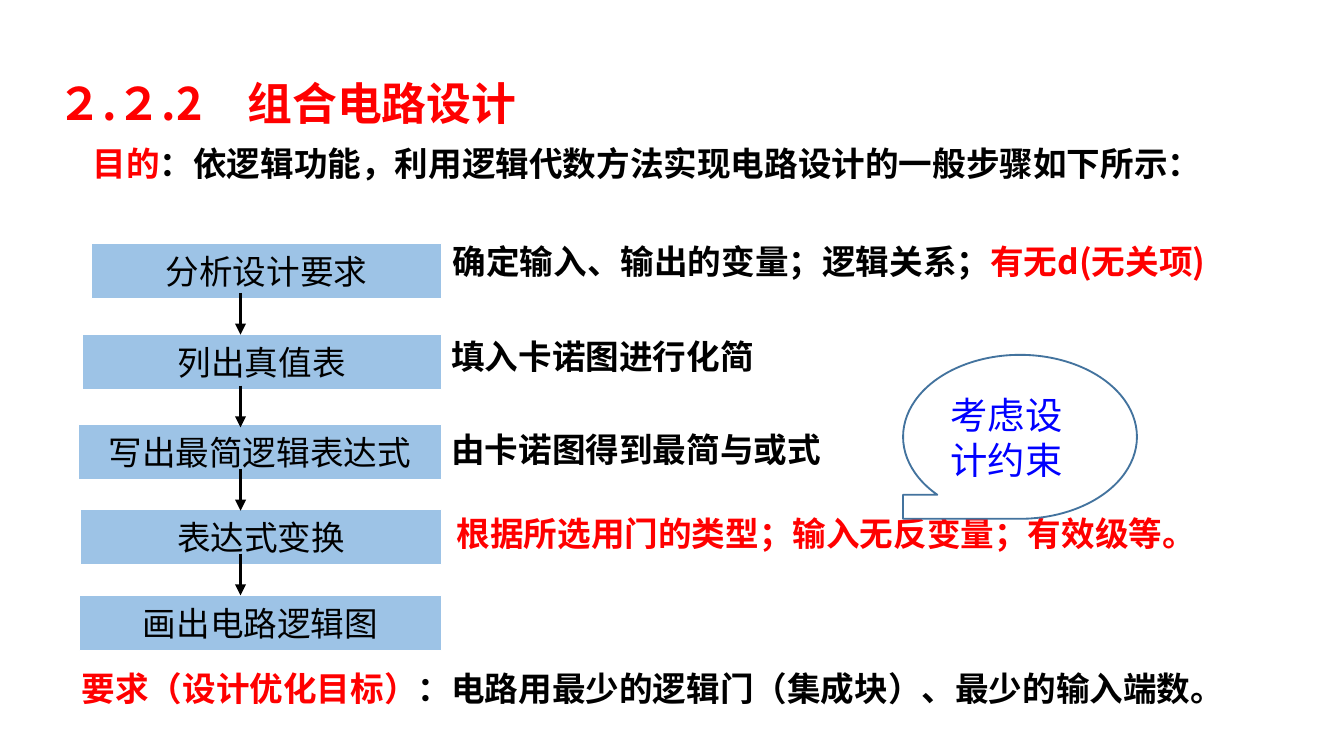
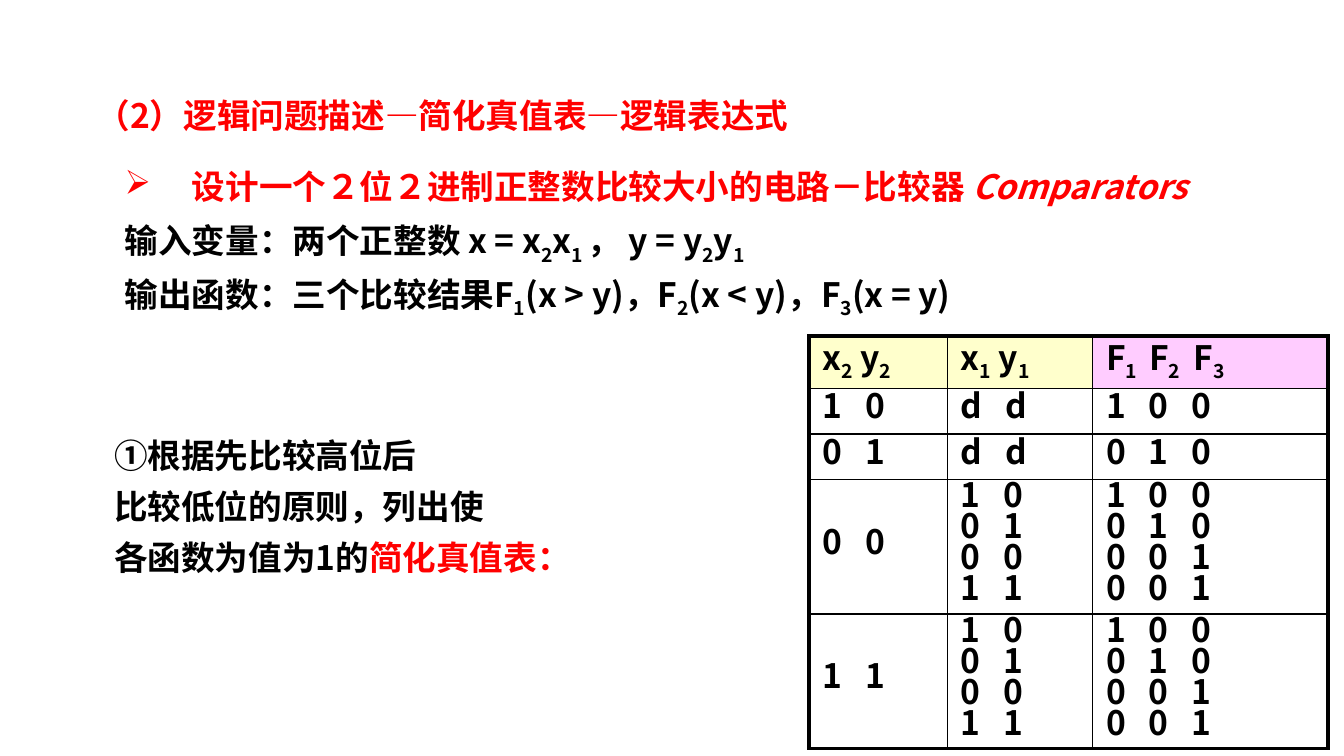
from typing import NamedTuple

from lxml import etree
from pptx import Presentation, util as u
from pptx.dml.color import RGBColor
from pptx.enum import shapes, text
from pptx.oxml.ns import qn

COLORS = {
    "ink": "000000", "accent": "FF0000", "paper": "FFFFFF", "step": "9DC3E6",
    "bubble_line": "43739E", "bubble_text": "0000FF",
    "input": "FFFFCC", "output": "FFCCFF",
}
CJK, CJK_TABLE, LATIN = "Noto Sans CJK JP", "Noto Sans CJK SC", "Calibri"
SLIDE_W, SLIDE_H = u.Inches(10), u.Inches(5.625)
CELL = SLIDE_W / 100  # square grid: 100 columns across the slide


class Area(NamedTuple):
    """Left, top, width and height in grid cells."""
    col: float
    row: float
    cols: float
    rows: float


class Run(NamedTuple):
    words: str
    color: str = "ink"
    sub: bool = False
    italic: bool = False


class Style(NamedTuple):
    size: float = 18
    bold: bool = True
    font: str = CJK
    spacing: float = 1
    before: float = 0
    hanging: float = 0
    bullet: str = ""
    align: text.PP_ALIGN = text.PP_ALIGN.LEFT


class Step(NamedTuple):
    col: float
    row: float
    label: str
    note: list[Run]
    note_area: Area | None


Lines = list[list[Run]]
TITLE = Style(size=24, spacing=0.9)
SUBTITLE = Style(spacing=0.9)
PURPOSE = Style(spacing=0.9, before=7.5, hanging=1.9)
NOTE = Style(before=9)
STEP = Style(bold=False, before=9, align=text.PP_ALIGN.CENTER)
BUBBLE = Style(size=20, bold=False, font=LATIN)
TASK = Style(hanging=5, bullet="➢")
VARIABLES = Style(spacing=0.8, before=9, hanging=1.9)
METHOD = Style(spacing=0.85, before=9)
TRUTH = Style(font=CJK_TABLE, spacing=0.5, before=3.6)

STEP_RIGHT, STEP_ROWS = 32.85, 4.1
STEPS = [
    Step(6.8, 18.1, "分析设计要求",
         [Run("确定输入、输出的变量；逻辑关系；"), Run("有无d(无关项)", "accent")],
         Area(32.7, 17.9, 59.9, 4)),
    Step(6.1, 24.9, "列出真值表", [Run("填入卡诺图进行化简")],
         Area(32.6, 25, 30, 4)),
    Step(5.8, 31.6, "写出最简逻辑表达式", [Run("由卡诺图得到最简与或式")],
         Area(32.6, 31.9, 39.2, 4)),
    Step(6, 37.9, "表达式变换",
         [Run("根据所选用门的类型；输入无反变量；有效级等。", "accent")],
         Area(33, 38.2, 54.9, 4)),
    Step(5.9, 44.3, "画出电路逻辑图", [], None),
]
ARROW_COL, ARROW_ROWS = 17.9, 3.1
ARROW_TOPS = [21.8, 28.7, 34.9, 41.2]

LOW_BITS = ["1   0", "0   1", "0   0", "1   1"]
RESULTS = ["1   0   0", "0   1   0", "0   0   1", "0   0   1"]
TRUTH_ROWS = [
    [["x|2| y|2"], ["x|1| y|1"], ["F|1 | F|2   |F|3"]],
    [["1   0"], ["d   d"], RESULTS[:1]],
    [["0   1"], ["d   d"], RESULTS[1:2]],
    [["0   0"], LOW_BITS, RESULTS],
    [["1   1"], LOW_BITS, RESULTS],
]
TRUTH_AREA = Area(60.2, 25, 38.6, 30.7)
TRUTH_COLS = [10.3, 10.8, 17.5]
TRUTH_HEIGHTS = [3.9, 3.4, 3.4, 10, 10]
HEADER_FILLS = ["input", "input", "output"]


def cells(count: float) -> int:
    return round(count * CELL)


def place(area: Area) -> list[int]:
    return [cells(n) for n in area]


def rgb(name: str) -> RGBColor:
    return RGBColor.from_string(COLORS[name])


def formula(words: str) -> list[Run]:
    """Split at bars; every second part is a subscript."""
    return [Run(part, sub=i % 2 == 1) for i, part in enumerate(words.split("|"))]


def write(frame, lines: Lines, style: Style) -> None:
    for i, line in enumerate(lines):
        para = frame.paragraphs[0] if i == 0 else frame.add_paragraph()
        para.alignment = style.align
        para.line_spacing = style.spacing
        para.space_before = u.Pt(style.before)
        props = para._p.get_or_add_pPr()
        if style.hanging:
            props.set("marL", str(cells(style.hanging)))
            props.set("indent", str(-cells(style.hanging)))
        if style.bullet:
            etree.SubElement(props, qn("a:buChar")).set("char", style.bullet)
        for part in line:
            run = para.add_run()
            run.text = part.words
            font = run.font
            font.size, font.bold, font.name = u.Pt(style.size), style.bold, style.font
            font.color.rgb = rgb(part.color)
            if part.italic:
                font.italic = True
            run_props = run._r.get_or_add_rPr()
            if part.sub:
                run_props.set("baseline", "-25000")
            etree.SubElement(run_props, qn("a:ea")).set("typeface", style.font)


def add_text(slide, area: Area, lines: Lines, style: Style,
             anchor: text.MSO_ANCHOR = text.MSO_ANCHOR.TOP) -> None:
    frame = slide.shapes.add_textbox(*place(area)).text_frame
    frame.word_wrap = True
    frame.vertical_anchor = anchor
    frame.margin_top = frame.margin_bottom = 0
    write(frame, lines, style)


def add_box(slide, kind: shapes.MSO_SHAPE, area: Area, fill: str, line: str,
            line_width: float, words: Run, style: Style):
    box = slide.shapes.add_shape(kind, *place(area))
    box.shadow.inherit = False
    box.fill.solid()
    box.fill.fore_color.rgb = rgb(fill)
    box.line.color.rgb = rgb(line)
    box.line.width = u.Pt(line_width)
    box.text_frame.word_wrap = True
    box.text_frame.vertical_anchor = text.MSO_ANCHOR.MIDDLE
    write(box.text_frame, [[words]], style)
    return box


def add_arrow(slide, col: float, top: float, bottom: float) -> None:
    arrow = slide.shapes.add_connector(
        shapes.MSO_CONNECTOR.STRAIGHT, cells(col), cells(top), cells(col), cells(bottom))
    arrow.line.color.rgb = rgb("ink")
    arrow.line.width = u.Pt(1.5)
    etree.SubElement(arrow.line._get_or_add_ln(), qn("a:tailEnd")).set("type", "triangle")
    etree.SubElement(arrow._element.spPr, qn("a:effectLst"))


def set_borders(cell, widths: dict[str, float]) -> None:
    """Draw the sides L, R, T, B; they must precede the cell's fill."""
    props = cell._tc.get_or_add_tcPr()
    for i, (side, width) in enumerate(widths.items()):
        line = etree.Element(qn(f"a:ln{side}"), w=str(u.Pt(width)))
        fill = etree.SubElement(line, qn("a:solidFill"))
        etree.SubElement(fill, qn("a:srgbClr")).set("val", COLORS["ink"])
        props.insert(i, line)


def add_truth_table(slide) -> None:
    table = slide.shapes.add_table(
        len(TRUTH_ROWS), len(TRUTH_COLS), *place(TRUTH_AREA)).table
    table.horz_banding = table.first_row = False
    for column, width in zip(table.columns, TRUTH_COLS):
        column.width = cells(width)
    last_row, last_col = len(TRUTH_ROWS) - 1, len(TRUTH_COLS) - 1
    for r, values in enumerate(TRUTH_ROWS):
        table.rows[r].height = cells(TRUTH_HEIGHTS[r])
        for c, lines in enumerate(values):
            cell = table.cell(r, c)
            cell.vertical_anchor = text.MSO_ANCHOR.MIDDLE
            cell.margin_left = cell.margin_right = cells(1)
            cell.margin_top = cell.margin_bottom = cells(0.4)
            cell.fill.solid()
            cell.fill.fore_color.rgb = rgb("paper" if r else HEADER_FILLS[c])
            outer = {"L": c == 0, "R": c == last_col, "T": r == 0, "B": r == last_row}
            set_borders(cell, {side: 2.25 if edge else 1 for side, edge in outer.items()})
            write(cell.text_frame, [formula(line) for line in lines], TRUTH)


def build_design_steps(slide) -> None:
    add_text(slide, Area(3.3, 6.1, 85.8, 5.7),
             [[Run("２.２.2\u3000组合电路设计".replace("\u3000", "　"), "accent")]], TITLE)
    add_text(slide, Area(5.9, 11, 85.6, 8.1),
             [[Run("目的", "accent"),
               Run("：依逻辑功能，利用逻辑代数方法实现电路设计的一般步骤如下所示：")]], PURPOSE)
    for step in STEPS:
        area = Area(step.col, step.row, STEP_RIGHT - step.col, STEP_ROWS)
        add_box(slide, shapes.MSO_SHAPE.RECTANGLE, area, "step", "paper", 0.75,
                Run(step.label), STEP)
        if step.note_area:
            add_text(slide, step.note_area, [step.note], NOTE)
    add_text(slide, Area(5.1, 49.7, 97.2, 4),
             [[Run("要求（设计优化目标）", "accent"),
               Run("：电路用最少的逻辑门（集成块）、最少的输入端数。")]], NOTE)
    for top in ARROW_TOPS:
        add_arrow(slide, ARROW_COL, top, top + ARROW_ROWS)
    bubble = add_box(slide, shapes.MSO_SHAPE.FLOWCHART_SEQUENTIAL_ACCESS_STORAGE,
                     Area(67.2, 26.4, 17.4, 12.2), "paper", "bubble_line", 1,
                     Run("考虑设计约束", "bubble_text"), BUBBLE)
    bubble._element.spPr.xfrm.set("flipH", "1")


def build_comparator(slide) -> None:
    add_text(slide, Area(6.2, 7.4, 88.3, 5.6),
             [[Run("（2）逻辑问题描述—简化真值表—逻辑表达式", "accent")]], SUBTITLE)
    add_text(slide, Area(8.3, 16.7, 72.7, 8.8),
             [formula("输入变量：两个正整数 x = x|2|x|1 |， y = y|2|y|1"),
              formula("输出函数：三个比较结果F|1|(x > y)，F|2|(x < y)，F|3|(x = y)")],
             VARIABLES)
    add_text(slide, Area(7.5, 32.8, 44.1, 11.8),
             [[Run("①根据先比较高位后")], [Run("比较低位的原则，列出使")],
              [Run("各函数为值为1的"), Run("简化真值表：", "accent")]], METHOD)
    add_truth_table(slide)
    add_text(slide, Area(8.3, 11.4, 84.4, 4.9),
             [[Run("设计一个２位２进制正整数比较大小的电路－比较器 ", "accent"),
               Run("Comparators", "accent", italic=True)]],
             TASK, text.MSO_ANCHOR.MIDDLE)


def main() -> None:
    deck = Presentation()
    deck.slide_width, deck.slide_height = SLIDE_W, SLIDE_H
    for build in (build_design_steps, build_comparator):
        build(deck.slides.add_slide(deck.slide_layouts[6]))
    deck.save("out.pptx")


if __name__ == "__main__":
    main()
